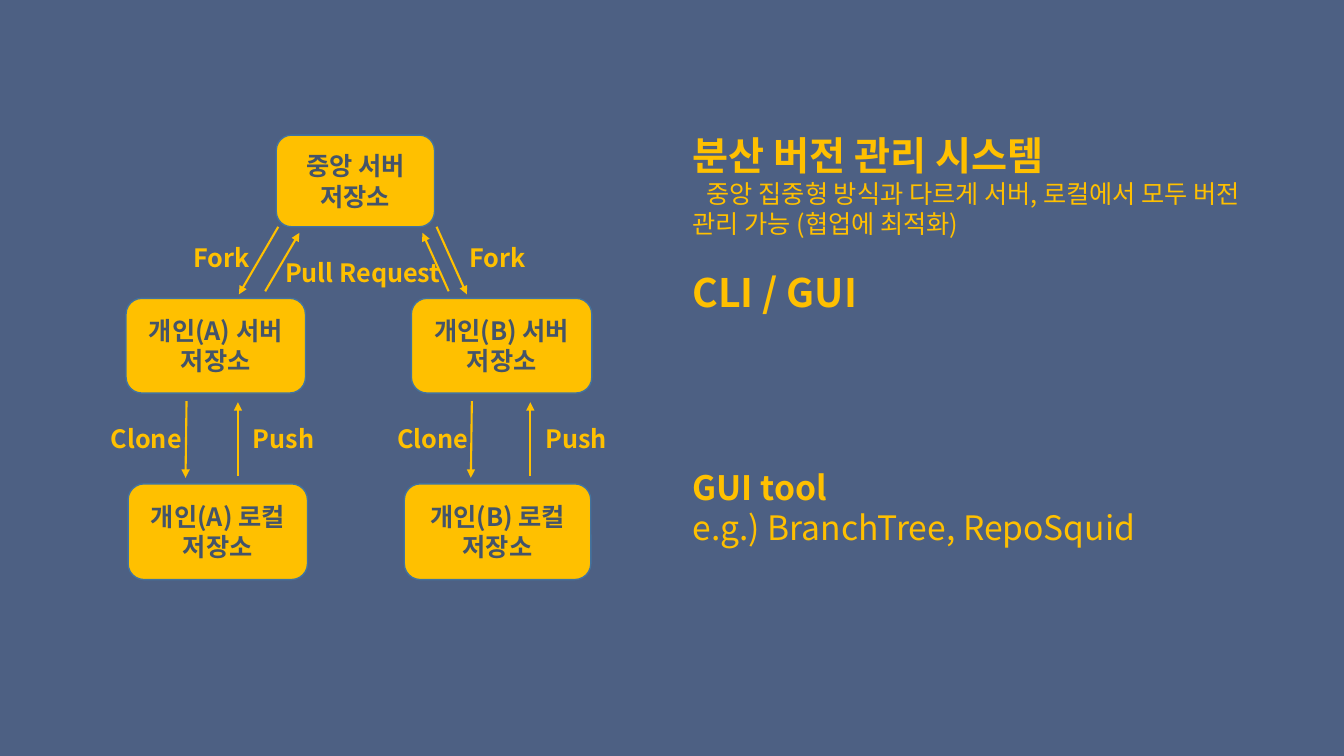
import pptx
import pptx.util
import pptx.dml.color
import pptx.enum.shapes
import pptx.enum.text
import pptx.oxml
import pptx.oxml.ns

Inches, Pt = pptx.util.Inches, pptx.util.Pt
RGBColor = pptx.dml.color.RGBColor
qn = pptx.oxml.ns.qn

BACK = RGBColor(0x4D, 0x60, 0x83)
GOLD = RGBColor(0xFF, 0xC0, 0x00)
SLATE = RGBColor(0x44, 0x54, 0x6A)
EDGE = RGBColor(0x43, 0x73, 0x9E)
FONT = "Noto Sans CJK KR"
LEAD = 1.2  # line height per point of type


def add_child(parent, tag, **attrs):
    node = pptx.oxml.parse_xml(
        f'<a:{tag} xmlns:a="http://schemas.openxmlformats.org/drawingml/2006/main"/>')
    for key, value in attrs.items():
        node.set(key, value)
    parent.append(node)


def style(para, size, color, bold=True):
    para.line_spacing = Pt(size * LEAD)
    font = para.font
    font.name, font.size, font.bold = FONT, Pt(size), bold
    font.color.rgb = color
    add_child(para._p.pPr.find(qn("a:defRPr")), "ea", typeface=FONT)


def add_node(slide, x, y, w, h, text):
    node = slide.shapes.add_shape(
        pptx.enum.shapes.MSO_SHAPE.ROUNDED_RECTANGLE,
        Inches(x), Inches(y), Inches(w), Inches(h))
    node.shadow.inherit = False
    node.fill.solid()
    node.fill.fore_color.rgb = GOLD
    node.line.color.rgb = EDGE
    node.line.width = Pt(1)
    frame = node.text_frame
    frame.word_wrap = True
    frame.vertical_anchor = pptx.enum.text.MSO_ANCHOR.MIDDLE
    para = frame.paragraphs[0]
    para.text = text
    para.alignment = pptx.enum.text.PP_ALIGN.CENTER
    style(para, 18, SLATE)


def add_arrow(slide, x1, y1, x2, y2):
    arrow = slide.shapes.add_connector(
        pptx.enum.shapes.MSO_CONNECTOR.STRAIGHT,
        Inches(x1), Inches(y1), Inches(x2), Inches(y2))
    arrow.line.color.rgb = GOLD
    arrow.line.width = Pt(1.5)
    add_child(arrow.line._get_or_add_ln(), "tailEnd", type="triangle")
    add_child(arrow._element.spPr, "effectLst")


def add_label(slide, x, y, w, text):
    frame = slide.shapes.add_textbox(
        Inches(x), Inches(y), Inches(w), Inches(0.4)).text_frame
    frame.word_wrap = True
    para = frame.paragraphs[0]
    para.text = text
    style(para, 18, GOLD)


def draw_flow(slide, left, top):
    # Central server
    add_node(slide, left + 1.74, top, 1.57, 0.91, "중앙 서버 저장소")

    # Personal servers and local stores: name, server x, local x, widths
    for name, x, low, w, wide in (("A", 0.25, 0.27, 1.78, 1.78),
                                  ("B", 3.08, 3.01, 1.79, 1.85)):
        add_node(slide, left + x, top + 1.62, w, 0.94, f"개인({name}) 서버 저장소")
        add_node(slide, left + low, top + 3.46, wide, 0.95, f"개인({name}) 로컬 저장소")

    # Fork arrows go down, pull requests go up
    for x1, x2 in ((1.76, 1.37), (3.33, 3.63)):
        add_arrow(slide, left + x1, top + 0.91, left + x2, top + 1.58)
    for x1, x2 in ((1.63, 1.97), (3.45, 3.19)):
        add_arrow(slide, left + x1, top + 1.55, left + x2, top + 0.97)

    # Clone arrows go down, push arrows go up
    for clone, push in ((0.85, 1.36), (3.68, 4.26)):
        add_arrow(slide, left + clone, top + 2.64, left + clone - 0.01, top + 3.4)
        add_arrow(slide, left + push, top + 3.38, left + push, top + 2.65)

    # Labels
    for fork, clone, push in ((0.82, 0, 1.41), (3.56, 2.84, 4.31)):
        add_label(slide, left + fork, top + 1.02, 0.82, "Fork")
        add_label(slide, left + clone, top + 2.81, 0.93, "Clone")
        add_label(slide, left + push, top + 2.81, 0.82, "Push")
    add_label(slide, left + 1.73, top + 1.16, 1.77, "Pull Request")


def draw_notes(slide, left, top, width, height):
    frame = slide.shapes.add_textbox(
        Inches(left), Inches(top), Inches(width), Inches(height)).text_frame
    frame.word_wrap = True
    row = 18 * LEAD
    # Text, size, bold, rows of space before, first-line indent
    lines = (
        ("분산 버전 관리 시스템", 28, True, 0, 0),
        ("중앙 집중형 방식과 다르게 서버, 로컬에서 모두 버전 관리 가능 (협업에 최적화)",
         18, False, 0, 0.14),
        ("CLI / GUI", 28, True, 1, 0),
        ("GUI tool", 24, True, 5, 0),
        ("e.g.) BranchTree, RepoSquid", 24, False, 0, 0),
    )
    for i, (text, size, bold, gap, indent) in enumerate(lines):
        para = frame.add_paragraph() if i else frame.paragraphs[0]
        para.text = text
        style(para, size, GOLD, bold)
        para.space_before = Pt(gap * row)
        para._p.pPr.set("indent", str(Inches(indent)))


def main():
    deck = pptx.Presentation()
    deck.slide_width, deck.slide_height = Inches(13.33), Inches(7.5)
    slide = deck.slides.add_slide(deck.slide_layouts[6])
    fill = slide.background.fill
    fill.solid()
    fill.fore_color.rgb = BACK
    draw_notes(slide, 6.77, 1.25, 5.66, 4.27)
    draw_flow(slide, 1, 1.34)
    deck.save("out.pptx")


if __name__ == "__main__":
    main()
